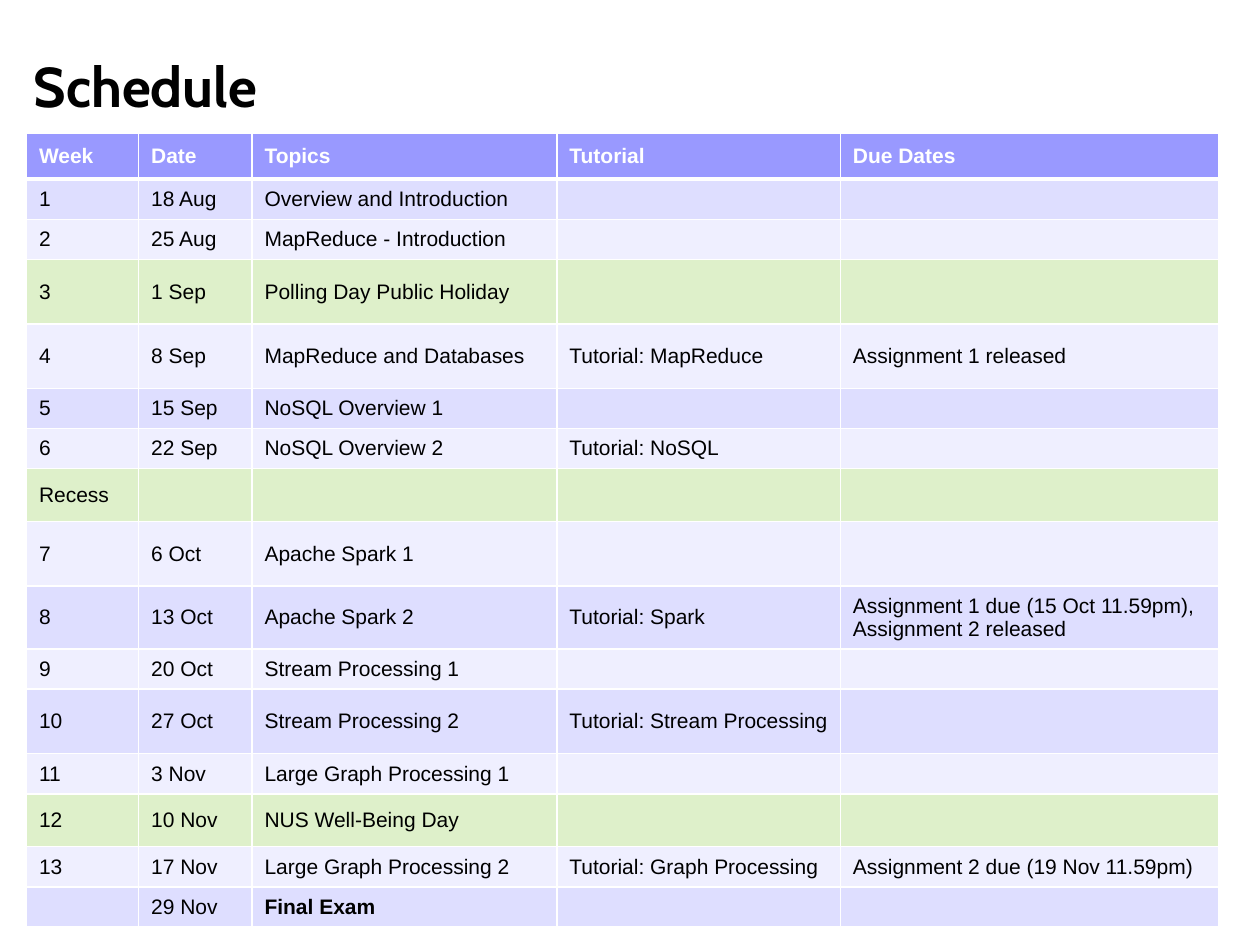
from dataclasses import dataclass

from lxml.etree import SubElement as Sub
from pptx import Presentation as Deck
from pptx.dml.color import RGBColor as Rgb
from pptx.enum.text import MSO_ANCHOR as Anchor
from pptx.oxml.ns import qn
from pptx.util import Pt

HUES = {"head": "9999FF", "odd": "DEDEFF", "even": "EFEFFF",
        "break": "92D050", "white": "FFFFFF", "black": "000000"}
TITLE = {"name": "Cabin", "size": Pt(32), "bold": True}
HEAD = {"name": "Arial", "size": Pt(12), "bold": True}
BODY = HEAD | {"bold": False}
COLS = (64.1, 64.8, 174.2, 162, 216)
LOW, MID, TALL = 23, 30.2, 36.8


@dataclass
class Week:
    """One row of the schedule."""
    label: str
    date: str = ""
    topic: str = ""
    lab: str = ""
    due: str = ""
    high: float = LOW
    free: bool = False
    bold: bool = False

    def texts(self) -> tuple[str, ...]:
        """Return the cell texts from left to right."""
        return self.label, self.date, self.topic, self.lab, self.due


WEEKS = [
    Week("Week", "Date", "Topics", "Tutorial", "Due Dates", high=26),
    Week("1", "18 Aug", "Overview and Introduction"),
    Week("2", "25 Aug", "MapReduce - Introduction"),
    Week("3", "1 Sep", "Polling Day Public Holiday", high=TALL, free=True),
    Week("4", "8 Sep", "MapReduce and Databases", "Tutorial: MapReduce",
         "Assignment 1 released", high=TALL),
    Week("5", "15 Sep", "NoSQL Overview 1"),
    Week("6", "22 Sep", "NoSQL Overview 2", "Tutorial: NoSQL"),
    Week("Recess", high=MID, free=True),
    Week("7", "6 Oct", "Apache Spark 1", high=TALL),
    Week("8", "13 Oct", "Apache Spark 2", "Tutorial: Spark",
         "Assignment 1 due (15 Oct 11.59pm),\nAssignment 2 released"),
    Week("9", "20 Oct", "Stream Processing 1"),
    Week("10", "27 Oct", "Stream Processing 2", "Tutorial: Stream Processing",
         high=TALL),
    Week("11", "3 Nov", "Large Graph Processing 1"),
    Week("12", "10 Nov", "NUS Well-Being Day", high=MID, free=True),
    Week("13", "17 Nov", "Large Graph Processing 2",
         "Tutorial: Graph Processing", "Assignment 2 due (19 Nov 11.59pm)"),
    Week("", "29 Nov", "Final Exam", bold=True),
]


def style(font, look: dict, hue: str) -> None:
    """Apply a format and a colour to a font."""
    for key, value in look.items():
        setattr(font, key, value)
    font.color.rgb = Rgb.from_string(HUES[hue])


def rule(cell, row: int) -> None:
    """Draw white borders, thick below the header."""
    props = cell._tc.get_or_add_tcPr()
    wide = {"lnB": 0, "lnT": 1}
    for side in ("lnL", "lnR", "lnT", "lnB"):
        size = 3 if wide.get(side) == row else 1
        line = Sub(props, qn(f"a:{side}"), w=str(Pt(size)))
        fill = Sub(line, qn("a:solidFill"))
        Sub(fill, qn("a:srgbClr"), val=HUES["white"])


def paint(cell, hue: str) -> None:
    """Fill a cell, letting the break colour show through."""
    cell.fill.solid()
    cell.fill.fore_color.rgb = Rgb.from_string(HUES[hue])
    if hue == "break":
        tint = cell._tc.tcPr.find(qn("a:solidFill"))[0]
        Sub(tint, qn("a:alpha"), val="30000")


def write(cell, text: str, look: dict, hue: str) -> None:
    """Put styled text in a cell."""
    cell.text = text
    cell.vertical_anchor = Anchor.MIDDLE
    for para in cell.text_frame.paragraphs:
        for run in para.runs:
            style(run.font, look, hue)
        if not para.runs:
            Sub(para._p, qn("a:endParaRPr"), sz="1200")


def draw_title(slide) -> None:
    """Add the slide title."""
    box = slide.shapes.add_textbox(Pt(12.2), Pt(8.6), Pt(684), Pt(80.6))
    frame = box.text_frame
    frame.word_wrap = True
    frame.vertical_anchor = Anchor.MIDDLE
    run = frame.paragraphs[0].add_run()
    run.text = "Schedule"
    style(run.font, TITLE, "black")


def draw_table(slide) -> None:
    """Add the schedule table."""
    high = sum(week.high for week in WEEKS)
    table = slide.shapes.add_table(len(WEEKS), len(COLS), Pt(15.1), Pt(76.3),
                                   Pt(sum(COLS)), Pt(high)).table
    table.horz_banding = False
    for col, wide in zip(table.columns, COLS):
        col.width = Pt(wide)
    for row, week in enumerate(WEEKS):
        table.rows[row].height = Pt(week.high)
        band = "odd" if row % 2 else "even"
        hue = "head" if row == 0 else "break" if week.free else band
        look = HEAD if row == 0 else BODY
        ink = "white" if row == 0 else "black"
        for col, text in enumerate(week.texts()):
            cell = table.cell(row, col)
            rule(cell, row)
            paint(cell, hue)
            bold = week.bold and text == week.topic
            write(cell, text, HEAD if bold else look, ink)


def main() -> None:
    """Build and save the schedule slide."""
    deck = Deck()
    deck.slide_width, deck.slide_height = Pt(720), Pt(540)
    slide = deck.slides.add_slide(deck.slide_layouts[6])
    draw_title(slide)
    draw_table(slide)
    deck.save("out.pptx")


if __name__ == "__main__":
    main()
